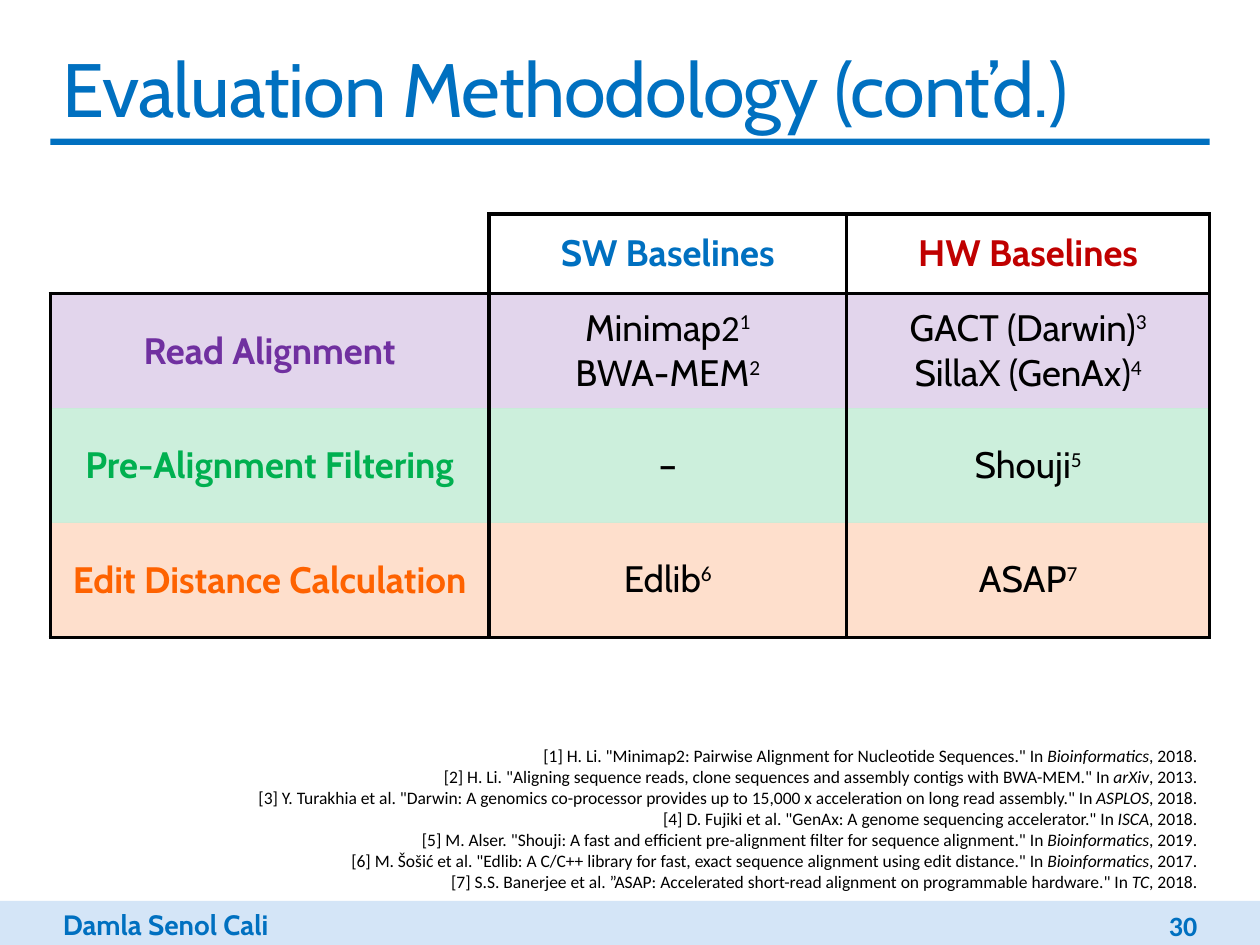
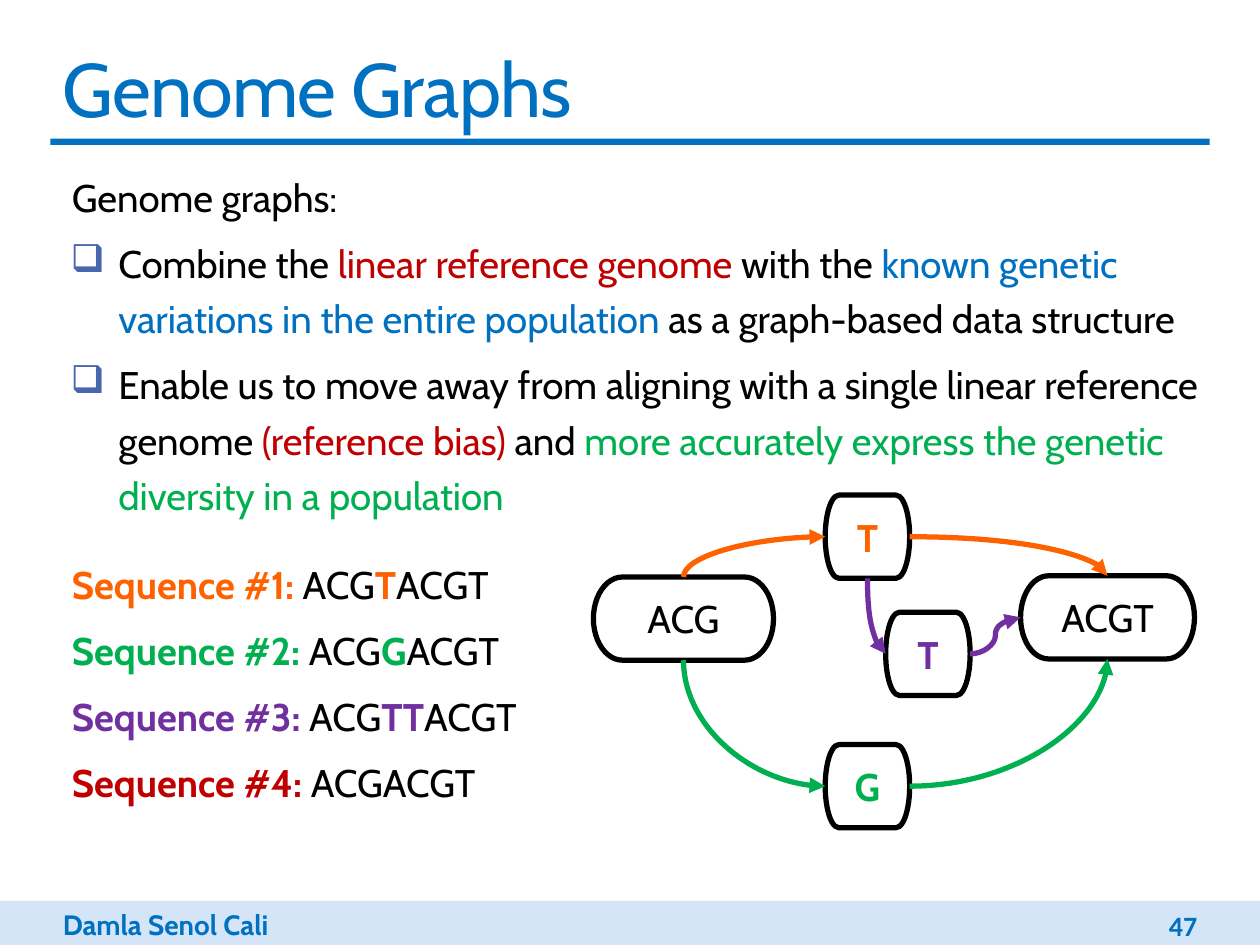
"""Build two slides: the evaluation baselines table and the genome graphs diagram."""
import pptx
import pptx.dml.color
import pptx.enum.shapes
import pptx.enum.text
import pptx.oxml
import pptx.oxml.ns
import pptx.util

Inches = pptx.util.Inches
Pt = pptx.util.Pt
RGBColor = pptx.dml.color.RGBColor
SHAPE = pptx.enum.shapes.MSO_SHAPE
ALIGN = pptx.enum.text.PP_ALIGN
ANCHOR = pptx.enum.text.MSO_ANCHOR
qn = pptx.oxml.ns.qn

BLUE = RGBColor(0x00, 0x70, 0xC0)
PALE_BLUE = RGBColor(0xD4, 0xE5, 0xF7)
BULLET_BLUE = RGBColor(0x4A, 0x66, 0xAC)
RED = RGBColor(0xC0, 0x00, 0x00)
PURPLE = RGBColor(0x70, 0x30, 0xA0)
GREEN = RGBColor(0x00, 0xB0, 0x50)
ORANGE = RGBColor(0xFE, 0x62, 0x00)
BLACK = RGBColor(0x00, 0x00, 0x00)

TITLE = {"name": "Cabin", "size": Pt(43.2), "color": BLUE, "spc": "-50"}
FOOTER = {"name": "Cabin", "size": Pt(16), "color": BLUE, "bold": True}
BODY = {"name": "Cabin", "size": Pt(22), "color": BLACK, "bold": False}
CELL = {"name": "Cabin", "size": Pt(21), "color": BLACK, "bold": False}
REFERENCE = {"name": "Calibri", "size": Pt(10), "color": BLACK, "italic": False}
CALIBRI = {"name": "Calibri"}
SUPERSCRIPT = {"name": "Calibri", "baseline": "30000"}
ITALIC = {"italic": True}
RAW_KEYS = ("baseline", "spc")

MARGIN = 0.4
CONTENT_WIDTH = 9.2
AUTHOR = "Damla Senol Cali"

BASELINE_HEADERS = [("SW Baselines", BLUE), ("HW Baselines", RED)]
BASELINE_ROWS = [
    ("Read Alignment", PURPLE,
     [[("Minimap", {}), ("2", CALIBRI), ("1", SUPERSCRIPT)],
      [("BWA-MEM", {}), ("2", SUPERSCRIPT)]],
     [[("GACT (Darwin)", {}), ("3", SUPERSCRIPT)],
      [("SillaX (GenAx)", {}), ("4", SUPERSCRIPT)]]),
    ("Pre-Alignment Filtering", GREEN,
     [[("–", {})]],
     [[("Shouji", {}), ("5", SUPERSCRIPT)]]),
    ("Edit Distance Calculation", ORANGE,
     [[("Edlib", {}), ("6", SUPERSCRIPT)]],
     [[("ASAP", {}), ("7", SUPERSCRIPT)]]),
]
COLUMN_WIDTHS = [3.48, 2.84, 2.88]
HEADER_HEIGHT, ROW_HEIGHT = 0.63, 0.91

REFERENCES = [
    ('H. Li. "Minimap2: Pairwise Alignment for Nucleotide Sequences."', "Bioinformatics", 2018),
    ('H. Li. "Aligning sequence reads, clone sequences and assembly contigs with BWA-MEM."',
     "arXiv", 2013),
    ('Y. Turakhia et al. "Darwin: A genomics co-processor provides up to 15,000 x acceleration '
     'on long read assembly."', "ASPLOS", 2018),
    ('D. Fujiki et al. "GenAx: A genome sequencing accelerator."', "ISCA", 2018),
    ('M. Alser. "Shouji: A fast and efficient pre-alignment filter for sequence alignment."',
     "Bioinformatics", 2019),
    ('M. Šošić et al. "Edlib: A C/C++ library for fast, exact sequence alignment using edit '
     'distance."', "Bioinformatics", 2017),
    ('S.S. Banerjee et al. ”ASAP: Accelerated short-read alignment on programmable hardware."',
     "TC", 2018),
]

GRAPH_INTRO = [("Genome graphs:", {})]
GRAPH_POINTS = [
    [("Combine the ", {}), ("linear reference genome ", {"color": RED}), ("with the ", {}),
     ("known genetic variations in the entire population ", {"color": BLUE}),
     ("as a graph-based data structure", {})],
    [("Enable us to move away from aligning with a single linear reference genome ", {}),
     ("(reference bias) ", {"color": RED}), ("and ", {}),
     ("more accurately express the genetic diversity in a population", {"color": GREEN})],
]
SEQUENCES = [
    (ORANGE, "ACG", "T", "ACGT"),
    (GREEN, "ACG", "G", "ACGT"),
    (PURPLE, "ACG", "TT", "ACGT"),
    (RED, "ACGACGT", "", ""),
]

NODE_HEIGHT = 0.66
NODES = {
    "start": ("ACG", BLACK, 4.71, 4.58, 1.43),
    "end": ("ACGT", BLACK, 8.1, 4.57, 1.38),
    "orange": ("T", ORANGE, 6.55, 3.93, 0.67),
    "green": ("G", GREEN, 6.55, 5.91, 0.67),
    "purple": ("T", PURPLE, 7.03, 4.86, 0.67),
}
TOP, LEFT, BOTTOM, RIGHT = range(4)
EDGES = [
    ("start", TOP, "orange", LEFT, ORANGE),
    ("start", BOTTOM, "green", LEFT, GREEN),
    ("orange", RIGHT, "end", TOP, ORANGE),
    ("green", RIGHT, "end", BOTTOM, GREEN),
    ("orange", BOTTOM, "purple", LEFT, PURPLE),
    ("purple", RIGHT, "end", LEFT, PURPLE),
]


def add_child(parent, tag, **attributes):
    child = parent.makeelement(qn(tag), attributes)
    parent.append(child)
    return child


def write_runs(paragraph, runs, base):
    for words, changes in runs:
        run = paragraph.add_run()
        run.text = words
        for key, value in (base | changes).items():
            if key == "color":
                run.font.color.rgb = value
            elif key in RAW_KEYS:
                run._r.get_or_add_rPr().set(key, value)
            else:
                setattr(run.font, key, value)


def write_paragraphs(frame, paragraphs, base, **layout):
    for index, runs in enumerate(paragraphs):
        paragraph = frame.paragraphs[0] if index == 0 else frame.add_paragraph()
        for key, value in layout.items():
            setattr(paragraph, key, value)
        write_runs(paragraph, runs, base)


def add_text(slide, box, paragraphs, base, anchor=ANCHOR.TOP, inset=0.1, **layout):
    frame = slide.shapes.add_textbox(*map(Inches, box)).text_frame
    frame.word_wrap = True
    frame.vertical_anchor = anchor
    frame.margin_left = frame.margin_right = Inches(inset)
    write_paragraphs(frame, paragraphs, base, **layout)
    return frame


def add_band(slide, box, color):
    band = slide.shapes.add_shape(SHAPE.RECTANGLE, *map(Inches, box))
    band.shadow.inherit = False
    band.fill.solid()
    band.fill.fore_color.rgb = color
    band.line.fill.background()


def add_slide(deck, title, number):
    slide = deck.slides.add_slide(deck.slide_layouts[6])
    add_band(slide, (0, 7.15, 10, 0.35), PALE_BLUE)
    add_band(slide, (MARGIN, 1.1, CONTENT_WIDTH, 0.05), BLUE)
    add_text(slide, (MARGIN, 7.15, 2.5, 0.37), [[(AUTHOR, {})]], FOOTER)
    add_text(slide, (MARGIN, 0.28, CONTENT_WIDTH, 0.82), [[(title, {})]], TITLE, ANCHOR.MIDDLE)
    add_text(slide, (8.22, 7.19, 1.38, 0.3), [[(str(number), CALIBRI)]], FOOTER,
             ANCHOR.MIDDLE, alignment=ALIGN.RIGHT)
    return slide


def set_borders(cell, sides):
    properties = cell._tc.get_or_add_tcPr()
    for side in "LRTB":
        edge = add_child(properties, f"a:ln{side}", w=str(Pt(2.25)))
        if side in sides:
            add_child(add_child(edge, "a:solidFill"), "a:srgbClr", val=str(BLACK))
        else:
            add_child(edge, "a:noFill")


def fill_cell(cell, paragraphs, sides, tint=None):
    cell.vertical_anchor = ANCHOR.MIDDLE
    write_paragraphs(cell.text_frame, paragraphs, CELL, alignment=ALIGN.CENTER)
    set_borders(cell, sides)
    if tint is None:
        cell.fill.background()
        return
    cell.fill.solid()
    cell.fill.fore_color.rgb = tint
    color = cell._tc.tcPr.find(".//" + qn("a:solidFill") + "[last()]")
    for color in cell._tc.tcPr.findall(qn("a:solidFill") + "/" + qn("a:srgbClr")):
        add_child(color, "a:alpha", val="20000")


def add_baselines(slide):
    row_heights = [HEADER_HEIGHT] + [ROW_HEIGHT] * len(BASELINE_ROWS)
    table = slide.shapes.add_table(
        len(row_heights), len(COLUMN_WIDTHS), Inches(MARGIN), Inches(1.7),
        Inches(CONTENT_WIDTH), Inches(sum(row_heights))).table
    table.first_row = table.horz_banding = False
    for column, width in zip(table.columns, COLUMN_WIDTHS):
        column.width = Inches(width)
    for row, height in zip(table.rows, row_heights):
        row.height = Inches(height)
    fill_cell(table.cell(0, 0), [], "RB")
    for column, (header, color) in enumerate(BASELINE_HEADERS, 1):
        fill_cell(table.cell(0, column), [[(header, {"color": color, "bold": True})]], "LRTB")
    for row, (task, color, *baselines) in enumerate(BASELINE_ROWS, 1):
        sides = "LR" + "T" * (row == 1) + "B" * (row == len(BASELINE_ROWS))
        label = [[(task, {"color": color, "bold": True})]]
        for column, paragraphs in enumerate([label, *baselines]):
            fill_cell(table.cell(row, column), paragraphs, sides, color)


def add_references(slide):
    entries = [[(f"[{number}] {work} In ", {}), (venue, ITALIC), (f", {year}.", {})]
               for number, (work, venue, year) in enumerate(REFERENCES, 1)]
    add_text(slide, (MARGIN, 5.86, CONTENT_WIDTH, 1.28), entries, REFERENCE,
             alignment=ALIGN.RIGHT)


def indent(paragraph, left, first=0, bullet=None):
    properties = paragraph._p.get_or_add_pPr()
    properties.set("marL", str(Inches(left)))
    properties.set("indent", str(Inches(first)))
    if bullet:
        add_child(add_child(properties, "a:buClr"), "a:srgbClr", val=str(BULLET_BLUE))
        add_child(properties, "a:buChar", char=bullet)


def add_graph_text(slide):
    spacing = {"line_spacing": 1.2, "space_after": Pt(6)}
    points = add_text(slide, (MARGIN, 1.26, CONTENT_WIDTH, 2.7), [GRAPH_INTRO, *GRAPH_POINTS],
                      BODY, inset=0, **spacing)
    intro, *bulleted = points.paragraphs
    indent(intro, 0.17)
    for paragraph in bulleted:
        indent(paragraph, 0.54, -0.38, "❑")
    lines = []
    for number, (color, before, variant, after) in enumerate(SEQUENCES, 1):
        accent = {"color": color, "bold": True}
        runs = [(f"Sequence #{number}: ", accent), (before, {}), (variant, accent), (after, {})]
        lines.append([run for run in runs if run[0]])
    sequences = add_text(slide, (MARGIN, 4.33, 3.88, 2.55), lines, BODY, inset=0, **spacing)
    for paragraph in sequences.paragraphs:
        indent(paragraph, 0.17)


def add_node(slide, bases, color, left, top, width):
    node = slide.shapes.add_shape(SHAPE.FLOWCHART_TERMINATOR,
                                  *map(Inches, (left, top, width, NODE_HEIGHT)))
    node.shadow.inherit = False
    node.fill.background()
    node.line.color.rgb = BLACK
    node.line.width = Pt(3)
    node.text_frame.word_wrap = False
    node.text_frame.vertical_anchor = ANCHOR.MIDDLE
    write_paragraphs(node.text_frame, [[(bases, {"color": color, "bold": color != BLACK})]],
                     BODY, alignment=ALIGN.CENTER)
    return node


def turn_upright(edge, upward):
    """Make the curve leave its first node vertically."""
    width, height = edge.width, edge.height
    edge.left += (width - height) // 2
    edge.top += (height - width) // 2
    edge.width, edge.height = height, width
    transform = edge._element.spPr.find(qn("a:xfrm"))
    for key, value in {"rot": 90 * 60000 if upward else 270 * 60000,
                       "flipH": 1, "flipV": int(upward)}.items():
        transform.set(key, str(value))


def add_edge(slide, source, source_side, target, target_side, color):
    edge = slide.shapes.add_connector(pptx.enum.shapes.MSO_CONNECTOR.CURVE, 0, 0, 0, 0)
    edge.begin_connect(source, source_side)
    edge.end_connect(target, target_side)
    edge.line.color.rgb = color
    edge.line.width = Pt(3)
    add_child(edge.line._get_or_add_ln(), "a:tailEnd", type="triangle")
    properties = edge._element.spPr
    add_child(properties, "a:effectLst")
    if (source_side, target_side) != (RIGHT, LEFT):
        properties.find(qn("a:prstGeom")).set("prst", "curvedConnector2")
    if source_side in (TOP, BOTTOM):
        turn_upright(edge, source_side == TOP)


def main():
    deck = pptx.Presentation()
    deck.slide_width, deck.slide_height = Inches(10), Inches(7.5)
    methodology = add_slide(deck, "Evaluation Methodology (cont’d.)", 30)
    add_baselines(methodology)
    add_references(methodology)
    graphs = add_slide(deck, "Genome Graphs", 47)
    add_graph_text(graphs)
    nodes = {key: add_node(graphs, *node) for key, node in NODES.items()}
    for source, source_side, target, target_side, color in EDGES:
        add_edge(graphs, nodes[source], source_side, nodes[target], target_side, color)
    deck.save("out.pptx")


if __name__ == "__main__":
    main()
